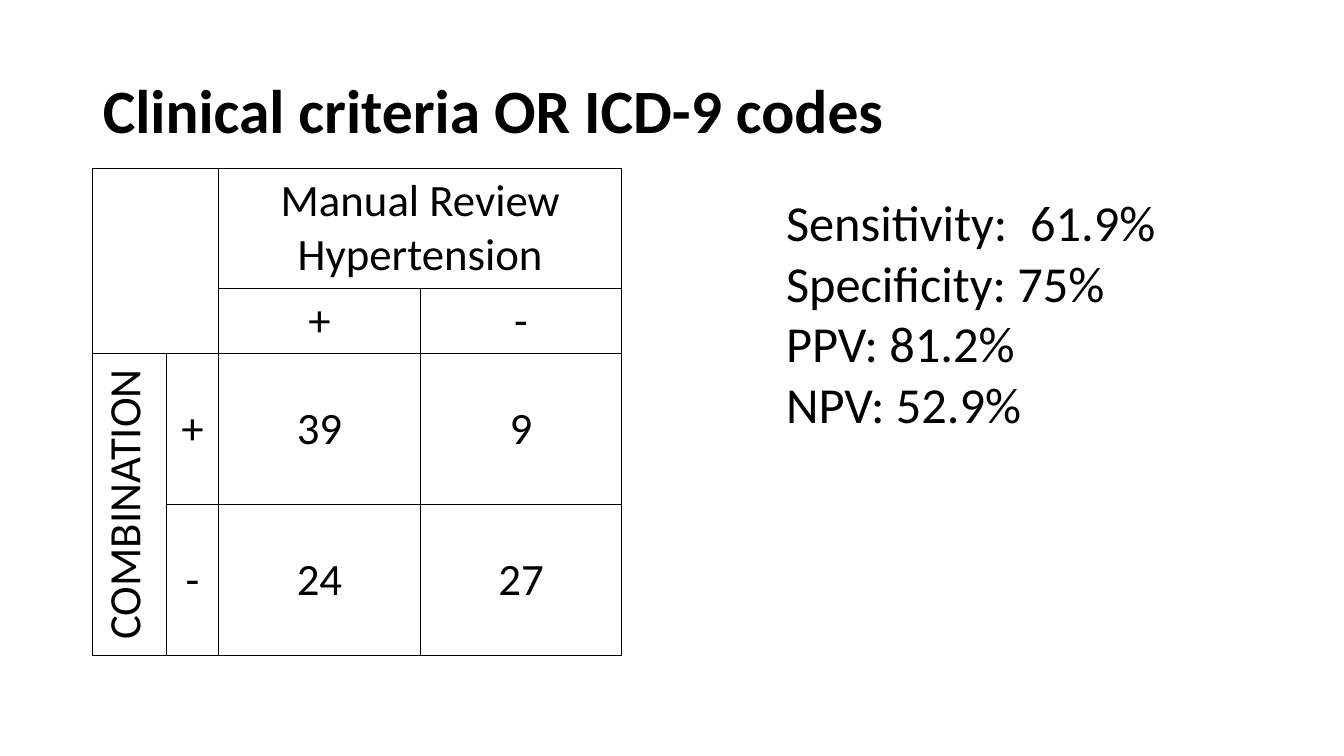
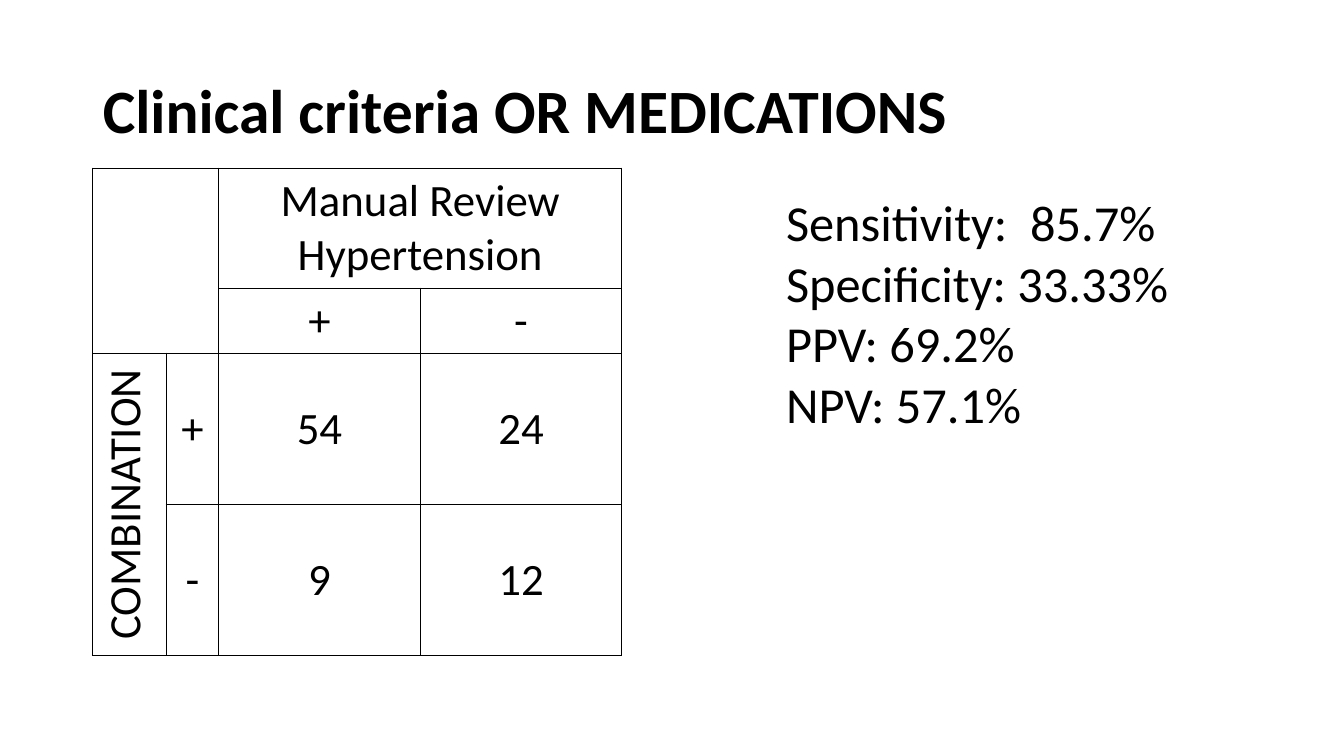
from lxml.etree import SubElement
from pptx import Presentation
from pptx.dml.color import RGBColor as Rgb
from pptx.enum.text import MSO_ANCHOR as Anchor, MSO_AUTO_SIZE as Fit, PP_ALIGN as Align
from pptx.oxml.ns import qn
from pptx.util import Pt

# Content
SLIDES = [
    {"title": "Clinical criteria OR ICD-9 codes",
     "counts": [("39", "9"), ("24", "27")],
     "stats": ["Sensitivity:  61.9%", "Specificity: 75%", "PPV: 81.2%", "NPV: 52.9%"]},
    {"title": "Clinical criteria OR MEDICATIONS",
     "counts": [("54", "24"), ("9", "12")],
     "stats": ["Sensitivity:  85.7%", "Specificity: 33.33%", "PPV: 69.2%", "NPV: 57.1%"]},
]
HEAD, SIDE, SIGNS = "Manual Review Hypertension", "COMBINATION", ("+", "-")

# Shared style, lengths in px (100 to the inch)
PX = 9144
COLORS = {"text": "000000", "line": "000000"}
TITLE = {"name": "Calibri", "size": Pt(44), "bold": True}
CELL = {"name": "Calibri", "size": Pt(32), "bold": False}
STAT = {"name": "Calibri", "size": Pt(36), "bold": False}
COLS, ROWS = (73, 52, 200, 200), (119, 64, 150, 150)
SPANS = [((0, 0), (1, 1)), ((0, 2), (0, 3)), ((2, 0), (3, 0))]


def px(*vals):
    return [round(v * PX) for v in vals]


def style(para, form, align):
    para.alignment = align
    for key, val in form.items():
        setattr(para.font, key, val)
    para.font.color.rgb = Rgb.from_string(COLORS["text"])


def border(cell):
    props = cell._tc.get_or_add_tcPr()
    for side in ("a:lnL", "a:lnR", "a:lnT", "a:lnB"):
        line = SubElement(props, qn(side), w=str(Pt(1)))
        fill = SubElement(line, qn("a:solidFill"))
        SubElement(fill, qn("a:srgbClr"), val=COLORS["line"])


def add_title(slide, text):
    box = slide.shapes.title
    box.left, box.top, box.width, box.height = px(92, 40, 1150, 145)
    frame = box.text_frame
    frame.text = text
    frame.auto_size, frame.vertical_anchor = Fit.NONE, Anchor.MIDDLE
    para = frame.paragraphs[0]
    para.line_spacing = 0.9
    style(para, TITLE, Align.LEFT)


def add_grid(slide, counts):
    size = px(92, 167, sum(COLS), sum(ROWS))
    grid = slide.shapes.add_table(len(ROWS), len(COLS), *size).table
    grid.first_row = grid.horz_banding = False
    for col, wide in zip(grid.columns, px(*COLS)):
        col.width = wide
    for row, high in zip(grid.rows, px(*ROWS)):
        row.height = high

    texts = [("", "", HEAD, ""), ("", "", *SIGNS)]
    texts += [(side, sign, *pair)
              for side, sign, pair in zip((SIDE, ""), SIGNS, counts)]
    for r, row in enumerate(texts):
        for c, text in enumerate(row):
            cell = grid.cell(r, c)
            border(cell)
            cell.fill.background()
            cell.vertical_anchor = Anchor.MIDDLE if r else Anchor.TOP
            cell.text = text
            style(cell.text_frame.paragraphs[0], CELL, Align.CENTER)
    for first, last in SPANS:
        grid.cell(*first).merge(grid.cell(*last))
    grid.cell(2, 0)._tc.get_or_add_tcPr().set("vert", "vert270")


def add_stats(slide, lines):
    frame = slide.shapes.add_textbox(*px(770, 185, 404, 252)).text_frame
    frame.word_wrap = True
    frame.text = "\n".join(lines)
    for para in frame.paragraphs:
        style(para, STAT, Align.LEFT)


def main():
    deck = Presentation()
    deck.slide_width, deck.slide_height = px(1333.33, 750)
    for data in SLIDES:
        slide = deck.slides.add_slide(deck.slide_layouts[5])
        add_title(slide, data["title"])
        add_grid(slide, data["counts"])
        add_stats(slide, data["stats"])
    deck.save("out.pptx")


if __name__ == "__main__":
    main()
